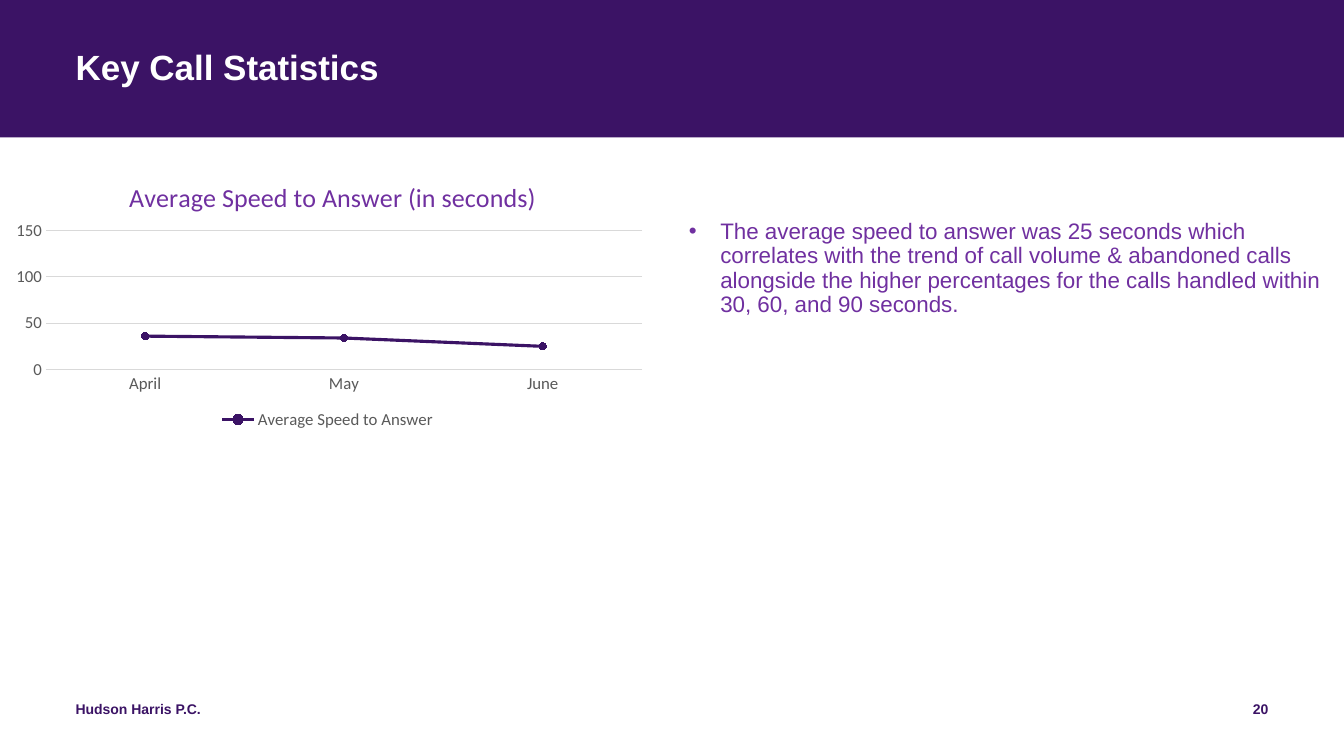
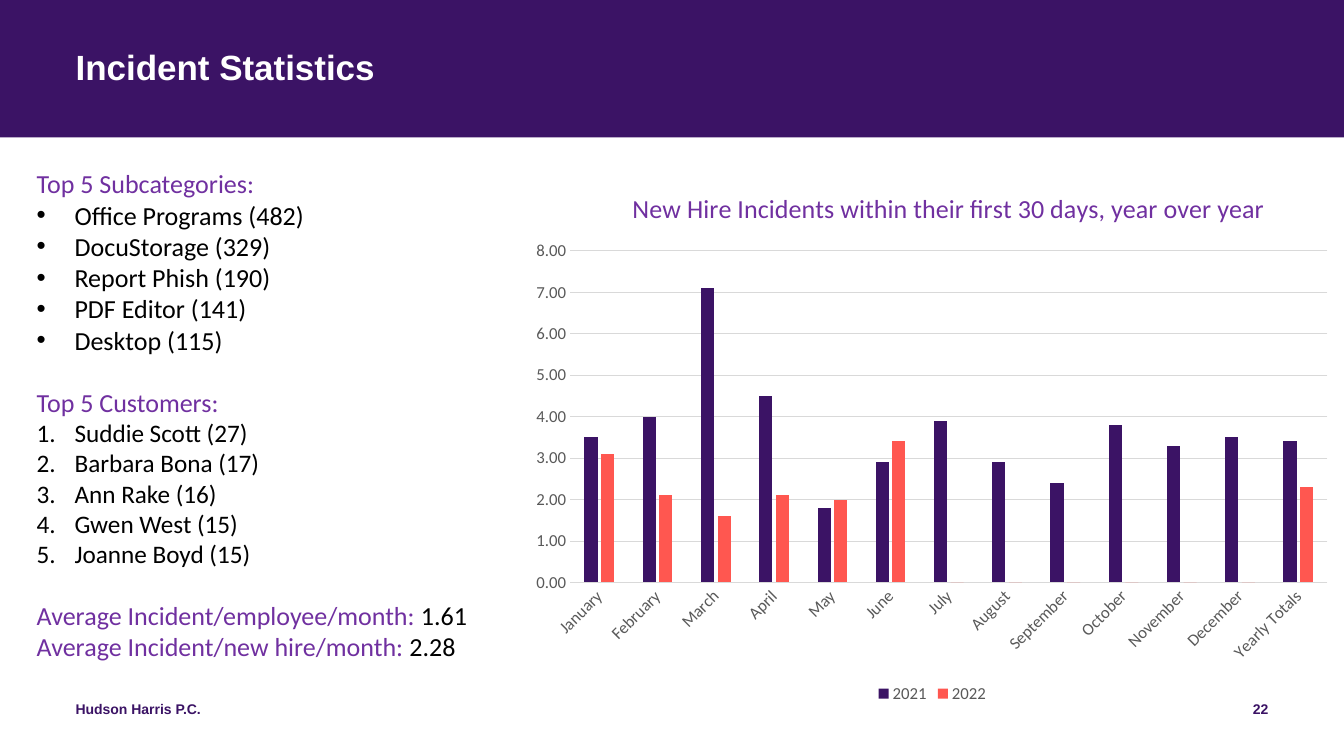
from lxml import etree
from pptx import Presentation
from pptx import util as u
from pptx.chart.data import CategoryChartData
from pptx.dml.color import RGBColor
from pptx.enum import chart as charts, shapes, text
from pptx.oxml.ns import qn

PX = 9525  # EMU per px, 96 px to the inch
WIDTH, HEIGHT, MARGIN = 1280, 720, 72

PLUM = RGBColor(0x3B, 0x13, 0x65)
PURPLE = RGBColor(0x70, 0x30, 0xA0)
CORAL = RGBColor(0xFF, 0x57, 0x50)
GREY = RGBColor(0x59, 0x59, 0x59)
RULE = RGBColor(0xD9, 0xD9, 0xD9)
WHITE = RGBColor(0xFF, 0xFF, 0xFF)
BLACK = RGBColor(0, 0, 0)

FIRM = "Hudson Harris P.C."
HEADING_SIZE = 18.6


def px(*lengths):
    return [u.Emu(length * PX) for length in lengths]


def set_font(font, size, color, name, bold=False):
    font.size, font.name, font.bold = u.Pt(size), name, bold
    font.color.rgb = color


def set_layout(element, index, inner=False, **fractions):
    """Place a chart part by fractions of the chart area."""
    for old in element.findall(qn("c:layout")):
        element.remove(old)
    layout = etree.Element(qn("c:layout"))
    manual = etree.SubElement(layout, qn("c:manualLayout"))
    settings = {"layoutTarget": "inner"} if inner else {}
    settings.update(xMode="edge", yMode="edge", **fractions)
    for tag, value in settings.items():
        etree.SubElement(manual, qn(f"c:{tag}")).set("val", str(value))
    element.insert(index, layout)


class Deck:
    def __init__(self):
        self.deck = Presentation()
        self.deck.slide_width, self.deck.slide_height = px(WIDTH, HEIGHT)
        self.page = None

    def add_page(self, title, number):
        self.page = self.deck.slides.add_slide(self.deck.slide_layouts[6])
        # Title band
        band = self.page.shapes.add_shape(
            shapes.MSO_SHAPE.RECTANGLE, *px(0, 0, WIDTH, 131))
        band.shadow.inherit = False
        band.fill.solid()
        band.fill.fore_color.rgb = PLUM
        band.line.fill.background()
        frame = self.add_box(MARGIN, 48, WIDTH - 2 * MARGIN, 78)
        para = self.add_para(frame, title, 25, WHITE, "Arial", bold=True)
        para.line_spacing = 0.9
        # Footer
        frame = self.add_box(MARGIN, 667, 432, 38)
        self.add_para(frame, FIRM, 10, PLUM, "Arial", bold=True)
        frame = self.add_box(WIDTH - MARGIN - 288, 667, 288, 38)
        para = self.add_para(frame, str(number), 10, PLUM, "Arial", bold=True)
        para.alignment = text.PP_ALIGN.RIGHT

    def add_box(self, left, top, width, height):
        box = self.page.shapes.add_textbox(*px(left, top, width, height))
        frame = box.text_frame
        frame.word_wrap = True
        frame.margin_left = frame.margin_right = 0
        frame.margin_top = frame.margin_bottom = 0
        return frame

    def add_para(self, frame, words, size, color, name="Calibri", bold=False,
                 before=0, bullet=None, indent=36):
        """Add a paragraph; words is a string or a list of (string, colour)."""
        first = frame.paragraphs[0]
        para = frame.add_paragraph() if first.runs else first
        if bullet:
            props = para._p.get_or_add_pPr()
            props.set("marL", str(indent * PX))
            props.set("indent", str(-indent * PX))
            if bullet == "1.":
                etree.SubElement(props, qn("a:buFont")).set("typeface", "+mj-lt")
                etree.SubElement(props, qn("a:buAutoNum")).set(
                    "type", "arabicPeriod")
            else:
                etree.SubElement(props, qn("a:buFont")).set("typeface", "Arial")
                etree.SubElement(props, qn("a:buChar")).set("char", bullet)
        if before:
            para.space_before = u.Pt(before)
        set_font(para.font, size, color, name, bold)
        spans = [(words, None)] if isinstance(words, str) else words
        for words_part, span_color in spans:
            span = para.add_run()
            span.text = words_part
            if span_color is not None:
                span.font.color.rgb = span_color
        return para

    def add_chart(self, kind, place, title, categories, series,
                  title_at, plot_at, number_format="General"):
        data = CategoryChartData(number_format=number_format)
        data.categories = categories
        for name, values in series.items():
            data.add_series(name, values)
        chart = self.page.shapes.add_chart(kind, *px(*place), data).chart
        set_font(chart.font, 12, GREY, "Calibri")
        # Title and legend
        heading = chart.chart_title
        self.add_para(heading.text_frame, title, HEADING_SIZE, PURPLE)
        set_layout(heading._element, 1, **title_at)
        chart.has_legend = True
        chart.legend.position = charts.XL_LEGEND_POSITION.BOTTOM
        chart.legend.include_in_layout = False
        # Axes
        for axis in (chart.category_axis, chart.value_axis):
            axis.major_tick_mark = charts.XL_TICK_MARK.NONE
            axis.minor_tick_mark = charts.XL_TICK_MARK.NONE
            set_font(axis.tick_labels.font, 12, GREY, "Calibri")
        values_axis = chart.value_axis
        values_axis.format.line.fill.background()
        values_axis.tick_labels.number_format = number_format
        values_axis.tick_labels.number_format_is_linked = False
        for line in (chart.category_axis.format.line,
                     values_axis.major_gridlines.format.line):
            line.color.rgb = RULE
            line.width = u.Pt(0.75)
        # Plot area
        chart.plots[0].vary_by_categories = False
        set_layout(chart._chartSpace.chart.plotArea, 0, inner=True, **plot_at)
        return chart


def build_call_page(deck):
    deck.add_page("Key Call Statistics", 20)
    frame = deck.add_box(656, 210, 624, 203)
    para = deck.add_para(
        frame,
        "The average speed to answer was 25 seconds which correlates with the "
        "trend of call volume & abandoned calls alongside the higher "
        "percentages for the calls handled within 30, 60, and 90 seconds.",
        16, PURPLE, "Arial", bullet="•", indent=30)
    para.line_spacing = 0.9

    chart = deck.add_chart(
        charts.XL_CHART_TYPE.LINE_MARKERS, (0, 148, 624, 265),
        "Average Speed to Answer (in seconds)",
        ["April", "May", "June"],
        {"Average Speed to Answer": [36, 34, 25]},
        title_at=dict(x=0.19, y=0.07),
        plot_at=dict(x=0.07, y=0.27, w=0.91, h=0.5))
    axis = chart.value_axis
    axis.minimum_scale, axis.maximum_scale, axis.major_unit = 0, 150, 50
    series = chart.plots[0].series[0]
    series.smooth = False
    series.format.line.color.rgb = PLUM
    series.format.line.width = u.Pt(2.25)
    marker = series.marker
    marker.style, marker.size = charts.XL_MARKER_STYLE.CIRCLE, 5
    marker.format.fill.solid()
    marker.format.fill.fore_color.rgb = PLUM
    marker.format.line.color.rgb = PLUM


def build_incident_page(deck):
    deck.add_page("Incident Statistics", 22)
    # Rankings and averages
    frame = deck.add_box(35, 160, 452, 475)
    rankings = [
        ("Top 5 Subcategories:", "•", HEADING_SIZE,
         ["Office Programs (482)", "DocuStorage (329)", "Report Phish (190)",
          "PDF Editor (141)", "Desktop (115)"]),
        ("Top 5 Customers:", "1.", 18,
         ["Suddie Scott (27)", "Barbara Bona (17)", "Ann Rake (16)",
          "Gwen West (15)", "Joanne Boyd (15)"]),
    ]
    gap = 0
    for heading, bullet, size, items in rankings:
        deck.add_para(frame, heading, HEADING_SIZE, PURPLE, before=gap)
        for item in items:
            deck.add_para(frame, item, size, BLACK, bullet=bullet)
        gap = 22
    for group, average in (("employee", "1.61"), ("new hire", "2.28")):
        spans = [(f"Average Incident/{group}/month: ", PURPLE), (average, BLACK)]
        deck.add_para(frame, spans, HEADING_SIZE, BLACK, before=gap)
        gap = 0

    # Yearly comparison
    chart = deck.add_chart(
        charts.XL_CHART_TYPE.COLUMN_CLUSTERED, (496, 156, 784, 518),
        "New Hire Incidents within their first 30 days, year over year",
        ["January", "February", "March", "April", "May", "June", "July",
         "August", "September", "October", "November", "December",
         "Yearly Totals"],
        {"2021": [3.5, 4, 7.1, 4.5, 1.8, 2.9, 3.9, 2.9, 2.4, 3.8, 3.3, 3.5, 3.4],
         "2022": [3.1, 2.1, 1.6, 2.1, 2, 3.4, 0, 0, 0, 0, 0, 0, 2.3]},
        title_at=dict(x=0.13, y=0.04),
        plot_at=dict(x=0.06, y=0.16, w=0.92, h=0.61),
        number_format="0.00")
    axis = chart.value_axis
    axis.minimum_scale, axis.maximum_scale, axis.major_unit = 0, 8, 1
    labels = chart.category_axis._element.find(qn("c:txPr"))
    labels.find(qn("a:bodyPr")).set("rot", str(-45 * 60000))
    plot = chart.plots[0]
    plot.gap_width, plot.overlap = 219, -27
    for series, color in zip(plot.series, (PLUM, CORAL)):
        series.invert_if_negative = False
        series.format.fill.solid()
        series.format.fill.fore_color.rgb = color


def main():
    deck = Deck()
    build_call_page(deck)
    build_incident_page(deck)
    deck.deck.save("out.pptx")


if __name__ == "__main__":
    main()
